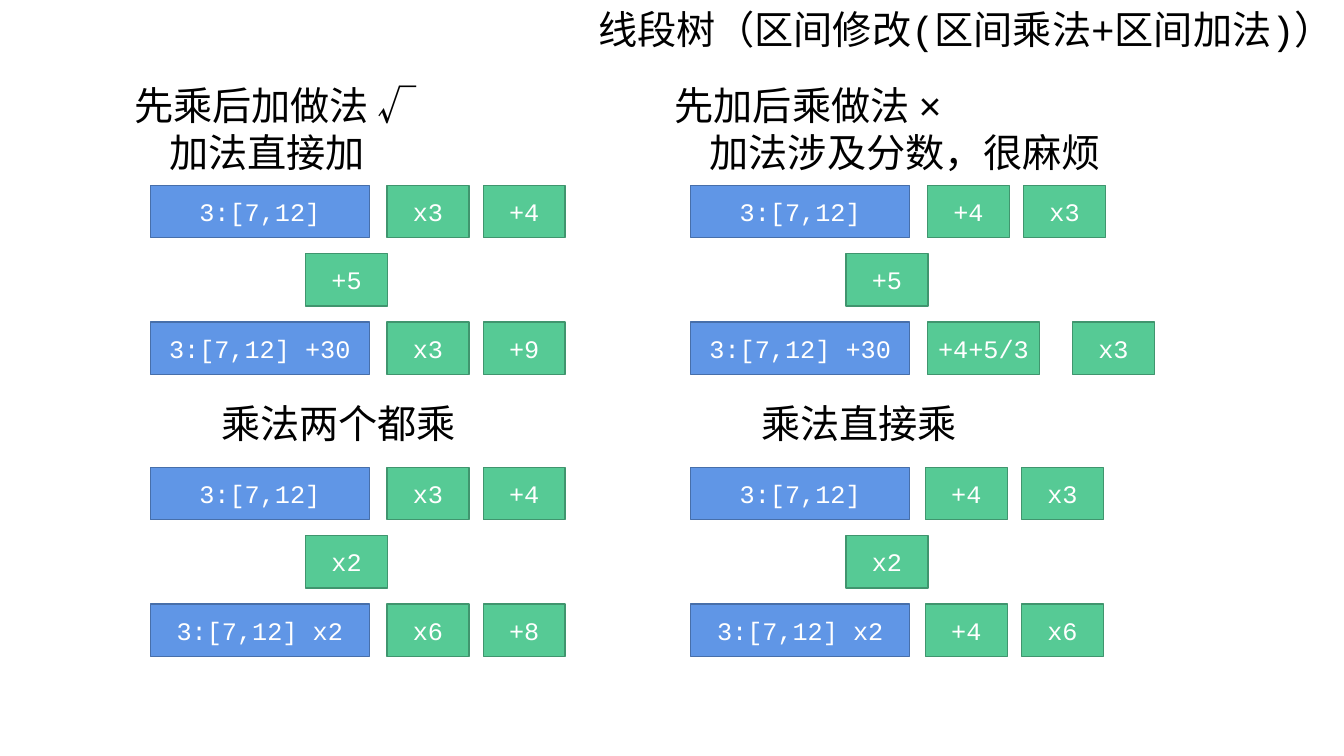
from dataclasses import dataclass

from pptx import Presentation
from pptx import util as u
from pptx.dml.color import RGBColor
from pptx.enum import shapes, text

Pt = u.Pt
FONT = "Courier New"
COLORS = {
    "text": "000000", "label": "FFFFFF",
    "node": "6096E6", "node_line": "476FAA",
    "tag": "56CA95", "tag_line": "40956E",
}

# Geometry in points; offsets are measured from the left edge of a column
COLUMN_LEFTS = (107.3, 493.3)
NODE_W, TAG_W, BOX_H = 156.5, 58.5, 37.5
UPDATE_X, TAG_X, TAG_STEP, ROW_STEP = 111, 169.2, 68.7, 48.8
ADD_TOP, MULTIPLY_TOP = 132.3, 333.8


@dataclass(frozen=True)
class Tag:
    label: str
    x: float
    width: float = TAG_W


@dataclass(frozen=True)
class Example:
    left: float
    top: float
    update: str
    result: str
    before: tuple[Tag, ...]
    after: tuple[Tag, ...]


@dataclass(frozen=True)
class Caption:
    left: float
    top: float
    width: float
    lines: tuple[str, ...]


def tag_pair(first: str, second: str, x: float = TAG_X) -> tuple[Tag, ...]:
    return Tag(first, x), Tag(second, x + TAG_STEP)


def write(frame, lines: tuple[str, ...], *, size: float, color: str,
          align=text.PP_ALIGN.LEFT, anchor=text.MSO_ANCHOR.TOP,
          inset: float = 7.2, later_indent: float = 0) -> None:
    frame.word_wrap = True
    frame.auto_size = text.MSO_AUTO_SIZE.NONE
    frame.vertical_anchor = anchor
    frame.margin_left = frame.margin_right = Pt(inset)
    frame.margin_top = frame.margin_bottom = Pt(3.6)
    for index, line in enumerate(lines):
        paragraph = frame.paragraphs[0] if index == 0 else frame.add_paragraph()
        paragraph.alignment = align
        if index and later_indent:
            paragraph._p.get_or_add_pPr().set("marL", str(Pt(later_indent)))
        run = paragraph.add_run()
        run.text = line
        run.font.name = FONT
        run.font.size = Pt(size)
        run.font.color.rgb = RGBColor.from_string(COLORS[color])


def draw_box(slide, label: str, x: float, y: float, width: float, kind: str) -> None:
    box = slide.shapes.add_shape(
        shapes.MSO_SHAPE.RECTANGLE, Pt(x), Pt(y), Pt(width), Pt(BOX_H))
    box.shadow.inherit = False
    box.fill.solid()
    box.fill.fore_color.rgb = RGBColor.from_string(COLORS[kind])
    box.line.color.rgb = RGBColor.from_string(COLORS[kind + "_line"])
    box.line.width = Pt(1)
    write(box.text_frame, (label,), size=18, color="label", inset=3.6,
          align=text.PP_ALIGN.CENTER, anchor=text.MSO_ANCHOR.MIDDLE)


def draw_example(slide, example: Example) -> None:
    rows = ((0, "3:[7,12]", example.before),
            (2, "3:[7,12] " + example.result, example.after))
    for row, node, tags in rows:
        y = example.top + row * ROW_STEP
        draw_box(slide, node, example.left, y, NODE_W, "node")
        for tag in tags:
            draw_box(slide, tag.label, example.left + tag.x, y, tag.width, "tag")
    draw_box(slide, example.update, example.left + UPDATE_X,
             example.top + ROW_STEP, TAG_W, "tag")


def draw_caption(slide, caption: Caption) -> None:
    box = slide.shapes.add_textbox(
        Pt(caption.left), Pt(caption.top), Pt(caption.width),
        Pt(7.2 + 33.8 * len(caption.lines)))
    write(box.text_frame, caption.lines, size=28, color="text", later_indent=25)


MULTIPLY_FIRST, ADD_FIRST = COLUMN_LEFTS
EXAMPLES = (
    Example(MULTIPLY_FIRST, ADD_TOP, "+5", "+30",
            tag_pair("x3", "+4"), tag_pair("x3", "+9")),
    Example(MULTIPLY_FIRST, MULTIPLY_TOP, "x2", "x2",
            tag_pair("x3", "+4"), tag_pair("x6", "+8")),
    Example(ADD_FIRST, ADD_TOP, "+5", "+30",
            tag_pair("+4", "x3"), (Tag("+4+5/3", TAG_X, 80), Tag("x3", 272.8))),
    Example(ADD_FIRST, MULTIPLY_TOP, "x2", "x2",
            tag_pair("+4", "x3", 167.7), tag_pair("+4", "x6", 167.7)),
)
CAPTIONS = (
    Caption(MULTIPLY_FIRST - 18.5, 54.7, 378, ("先乘后加做法 √", "加法直接加")),
    Caption(MULTIPLY_FIRST + 43.5, 281.5, 184, ("乘法两个都乘",)),
    Caption(ADD_FIRST - 18.5, 54.7, 378, ("先加后乘做法 ×", "加法涉及分数，很麻烦")),
    Caption(ADD_FIRST + 43.5, 281.5, 184, ("乘法直接乘",)),
)


def main() -> None:
    deck = Presentation()
    deck.slide_width, deck.slide_height = Pt(960), Pt(540)
    slide = deck.slides.add_slide(deck.slide_layouts.get_by_name("Title Only"))

    # Title
    title = slide.shapes.title
    title.left, title.top, title.width, title.height = Pt(0), Pt(0), Pt(960), Pt(41)
    write(title.text_frame, ("线段树（区间修改(区间乘法+区间加法)）",),
          size=28, color="text", align=text.PP_ALIGN.RIGHT)

    # Both orders of lazy tags, each with an addition and a multiplication
    for example in EXAMPLES:
        draw_example(slide, example)
    for caption in CAPTIONS:
        draw_caption(slide, caption)

    deck.save("out.pptx")


if __name__ == "__main__":
    main()
